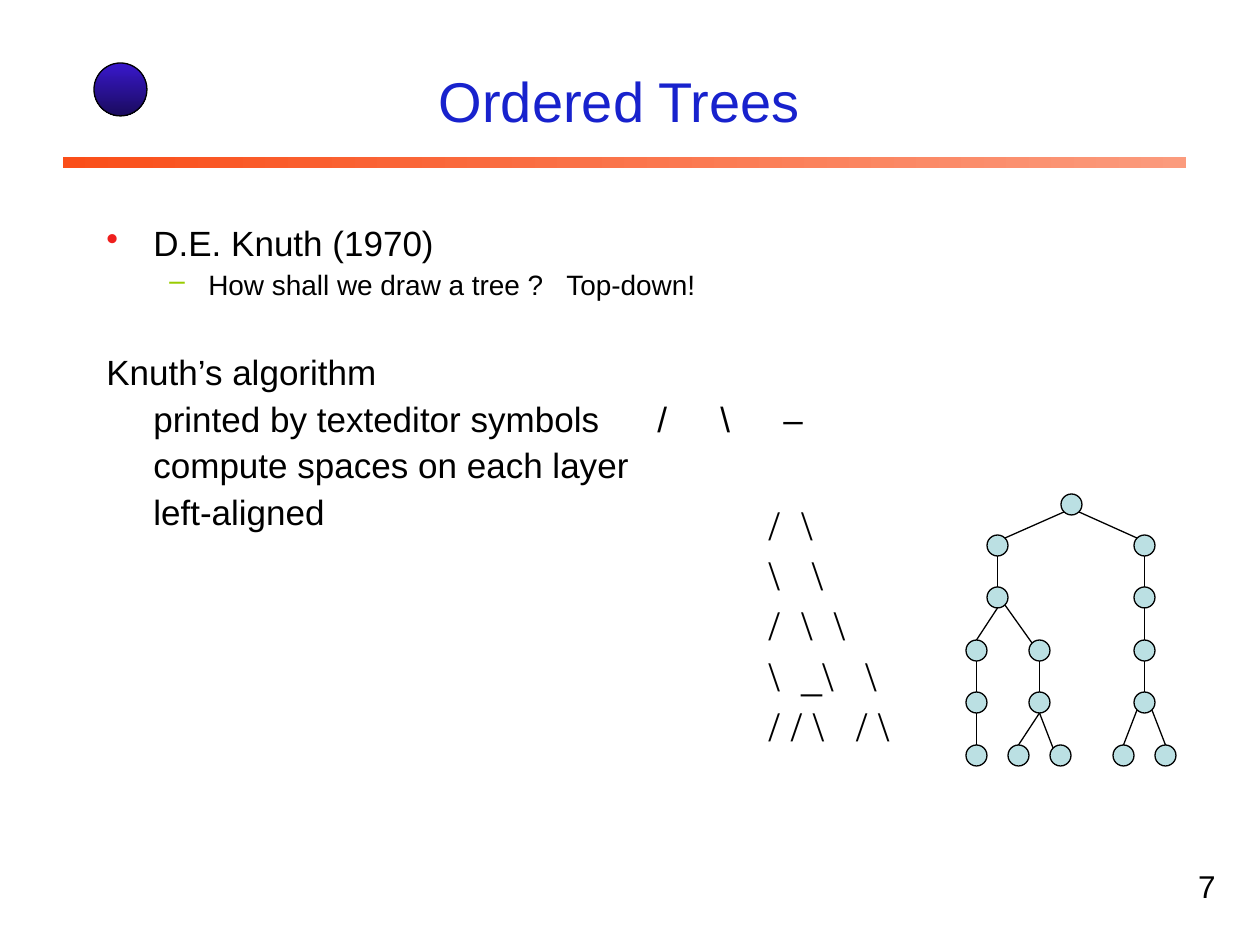
from dataclasses import dataclass

from lxml.etree import SubElement
from pptx import Presentation
from pptx.dml.color import RGBColor
from pptx.enum.shapes import MSO_CONNECTOR, MSO_SHAPE
from pptx.enum.text import MSO_ANCHOR, PP_ALIGN
from pptx.oxml.ns import qn
from pptx.util import Emu, Pt


@dataclass(frozen=True)
class Theme:
    sans: str = "Arial"
    serif: str = "Times New Roman"
    ink: str = "000000"
    title: str = "1822CD"
    node: str = "BBE0E3"
    emblem: tuple = ("3918CC", "1A0B5E")
    rule: tuple = ("FA4E19", "FB9B7D")
    title_size: int = 32
    body_size: int = 20
    sub_size: int = 16
    sketch_size: int = 24
    number_size: int = 18
    line_width: float = 0.75


THEME = Theme()
PX_PER_INCH = 126

TITLE = "Ordered Trees"
PAGE_NUMBER = "7"
STEP = dict(size=THEME.body_size, before=5, margin=47)
BODY = [
    dict(text="D.E. Knuth (1970)", size=THEME.body_size, before=0,
         margin=47, indent=-47, bullet=("•", "EF1F1D")),
    dict(text="How shall we draw a tree ?\tTop-down!", size=THEME.sub_size, before=4,
         margin=102, indent=-39, bullet=("–", "99CC00"), tabs=[460]),
    dict(text="Knuth’s algorithm", size=THEME.body_size, before=31, margin=0),
    dict(STEP, text="printed by texteditor symbols\t/\t\\\t–", tabs=[522, 560, 609]),
    dict(STEP, text="compute spaces on each layer"),
    dict(STEP, text="left-aligned"),
]
SKETCH = ["/  \\", "\\   \\", "/  \\  \\", "\\  _\\   \\", "/ / \\   / \\"]

NODE_SIZE = 21
ROOT_TOP, FIRST_LEVEL_TOP, TWO_LEVELS = 494, 535, 105
LEVELS = [
    [1061],
    [987, 1134],
    [987, 1134],
    [966, 1029, 1134],
    [966, 1029, 1134],
    [966, 1008, 1050, 1113, 1155],
]
SIDES = {"top": (0, -1), "bottom": (0, 1), "top left": (-0.71, -0.71),
         "top right": (0.71, -0.71), "bottom left": (-0.71, 0.71),
         "bottom right": (0.71, 0.71)}
EDGES = [
    (0, 0, 0, "bottom left", "top right"),
    (0, 0, 1, "bottom right", "top left"),
    (1, 0, 0, "bottom", "top"),
    (1, 1, 1, "bottom", "top"),
    (2, 0, 0, "bottom", "top"),
    (2, 0, 1, "bottom right", "top left"),
    (2, 1, 2, "bottom", "top"),
    (3, 0, 0, "bottom", "top"),
    (3, 1, 1, "bottom", "top"),
    (3, 2, 2, "bottom", "top"),
    (4, 0, 0, "bottom", "top"),
    (4, 1, 1, "bottom", "top"),
    (4, 1, 2, "bottom", "top left"),
    (4, 2, 3, "bottom left", "top"),
    (4, 2, 4, "bottom right", "top"),
]


def px(length):
    return Emu(round(length * 914400 / PX_PER_INCH))


def rgb(value):
    return RGBColor.from_string(value)


def add_outline(line):
    line.color.rgb = rgb(THEME.ink)
    line.width = Pt(THEME.line_width)


def add_figure(slide, kind, box, fill, angle=0, outlined=True):
    figure = slide.shapes.add_shape(kind, *map(px, box))
    figure.shadow.inherit = False
    if isinstance(fill, tuple):
        figure.fill.gradient()
        figure.fill.gradient_angle = angle
        for stop, color in zip(figure.fill.gradient_stops, fill):
            stop.color.rgb = rgb(color)
    else:
        figure.fill.solid()
        figure.fill.fore_color.rgb = rgb(fill)
    if outlined:
        add_outline(figure.line)
    else:
        figure.line.fill.background()


def add_text(slide, box, text, size, face=THEME.sans, color=THEME.ink,
             align=PP_ALIGN.LEFT, anchor=MSO_ANCHOR.TOP):
    frame = slide.shapes.add_textbox(*map(px, box)).text_frame
    frame.word_wrap = True
    frame.vertical_anchor = anchor
    frame.text = text
    for paragraph in frame.paragraphs:
        paragraph.alignment = align
        for run in paragraph.runs:
            run.font.name = face
            run.font.size = Pt(size)
            run.font.color.rgb = rgb(color)
    return frame


def style_paragraph(paragraph, item):
    properties = paragraph._p.get_or_add_pPr()
    properties.set("marL", str(px(item["margin"])))
    properties.set("indent", str(px(item.get("indent", 0))))
    if "bullet" in item:
        mark, color = item["bullet"]
        SubElement(SubElement(properties, qn("a:buClr")), qn("a:srgbClr"), val=color)
        SubElement(properties, qn("a:buChar"), char=mark)
    if "tabs" in item:
        stops = SubElement(properties, qn("a:tabLst"))
        for position in item["tabs"]:
            SubElement(stops, qn("a:tab"), pos=str(px(position)), algn="l")
    paragraph.line_spacing = 0.9
    paragraph.space_before = Pt(item["before"])
    for run in paragraph.runs:
        run.font.size = Pt(item["size"])


def node_top(level):
    return FIRST_LEVEL_TOP + TWO_LEVELS * (level - 1) // 2 if level else ROOT_TOP


def node_point(level, index, side):
    radius = NODE_SIZE / 2
    across, down = SIDES[side]
    return (px(LEVELS[level][index] + radius * (1 + across)),
            px(node_top(level) + radius * (1 + down)))


def add_tree(slide):
    for level, lefts in enumerate(LEVELS):
        for left in lefts:
            add_figure(slide, MSO_SHAPE.OVAL,
                       (left, node_top(level), NODE_SIZE, NODE_SIZE), THEME.node)
    for level, parent, child, start, end in EDGES:
        edge = slide.shapes.add_connector(
            MSO_CONNECTOR.STRAIGHT,
            *node_point(level, parent, start), *node_point(level + 1, child, end))
        add_outline(edge.line)
        SubElement(edge._element.spPr, qn("a:effectLst"))


def main():
    deck = Presentation()
    deck.slide_width, deck.slide_height = px(1260), px(945)
    slide = deck.slides.add_slide(deck.slide_layouts[6])

    add_figure(slide, MSO_SHAPE.RECTANGLE, (63, 157, 1123, 11), THEME.rule, outlined=False)
    add_figure(slide, MSO_SHAPE.OVAL, (94, 63, 53, 53), THEME.emblem, angle=270)
    add_text(slide, (84, 42, 1071, 116), TITLE, THEME.title_size, color=THEME.title,
             align=PP_ALIGN.CENTER, anchor=MSO_ANCHOR.MIDDLE)

    body = add_text(slide, (94, 220, 1071, 388),
                    "\n".join(item["text"] for item in BODY), THEME.body_size)
    for paragraph, item in zip(body.paragraphs, BODY):
        style_paragraph(paragraph, item)

    sketch = add_text(slide, (756, 492, 180, 265), "\n".join(SKETCH),
                      THEME.sketch_size, face=THEME.serif)
    for paragraph in sketch.paragraphs:
        paragraph.line_spacing = Pt(28.8)

    add_tree(slide)
    add_text(slide, (1140, 861, 88, 50), PAGE_NUMBER, THEME.number_size,
             align=PP_ALIGN.RIGHT)
    deck.save("out.pptx")


if __name__ == "__main__":
    main()
